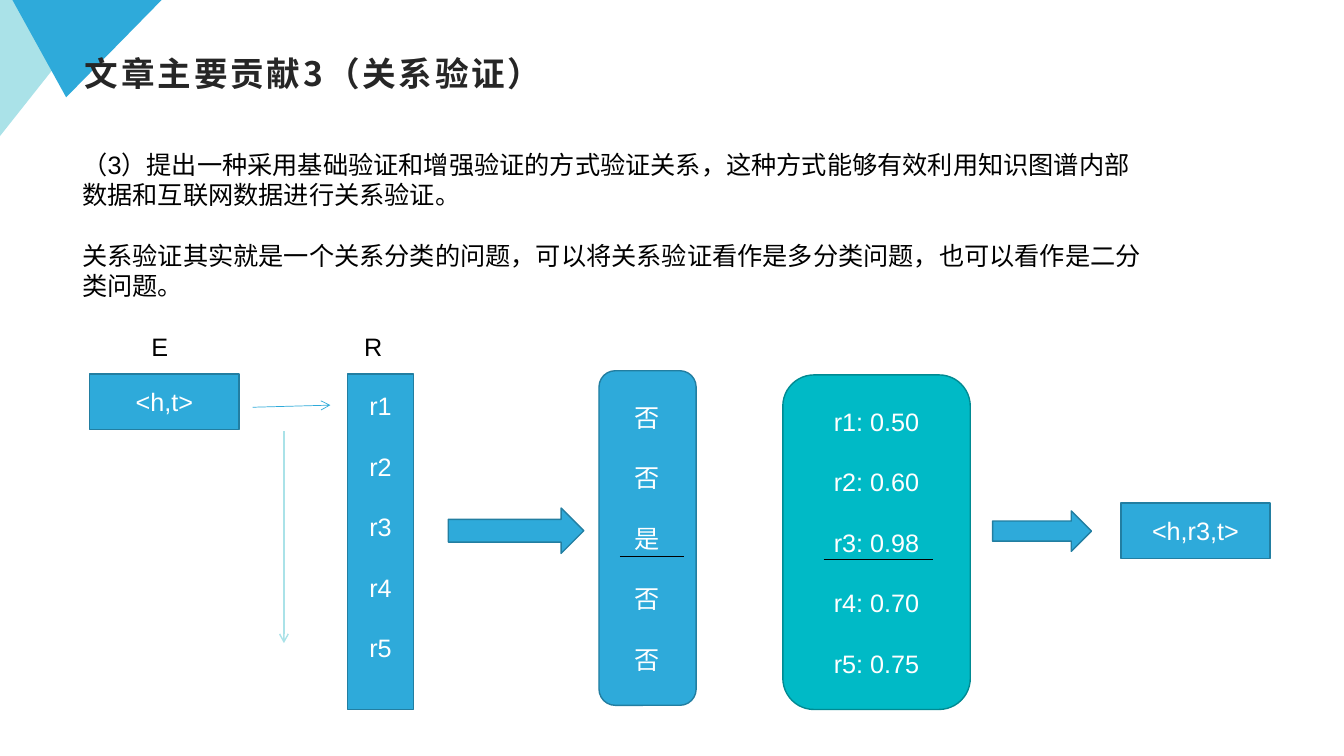
from lxml import etree
from pptx import Presentation
from pptx.dml.color import RGBColor
from pptx.enum import shapes, text
from pptx.oxml.ns import qn
from pptx.util import Pt

COLOURS = {
    "blue": "2EAADA", "blue edge": "227EA1", "teal": "00BAC6",
    "teal edge": "008A92", "pale": "AAE2E8", "title": "262626",
    "black": "000000", "white": "FFFFFF",
}
SHAPE = shapes.MSO_SHAPE
CENTRE, LEFT = text.PP_ALIGN.CENTER, text.PP_ALIGN.LEFT
TOP, MIDDLE = text.MSO_ANCHOR.TOP, text.MSO_ANCHOR.MIDDLE
LINE = 21.6


class RelationPage:
    """Draws styled elements on one slide, with lengths in points."""

    def __init__(self, page):
        self.page = page

    def colour(self, name):
        return RGBColor.from_string(COLOURS[name])

    def style(self, para, size, colour, latin="Arial"):
        font = para.font
        font.size, font.name = Pt(size), latin
        font.color.rgb = self.colour(colour)
        east_asian = etree.SubElement(font._element, qn("a:ea"))
        east_asian.set("typeface", "Noto Sans CJK SC")
        return font

    def fill_text(self, box, lines, colour, align, anchor):
        frame = box.text_frame
        frame.word_wrap, frame.vertical_anchor = True, anchor
        frame.text = "\n".join(lines)
        for index, para in enumerate(frame.paragraphs):
            para.alignment = align
            para.line_spacing = Pt(LINE)
            para.space_before = Pt(LINE if index else 0)
            self.style(para, 18, colour)

    def title(self, words, *place):
        box = self.page.shapes.title
        box.left, box.top, box.width, box.height = map(Pt, place)
        frame = box.text_frame
        frame.text = words
        frame.auto_size = text.MSO_AUTO_SIZE.NONE
        frame.vertical_anchor = MIDDLE
        frame.margin_left, frame.margin_right = Pt(8), Pt(6)
        frame.margin_top = frame.margin_bottom = Pt(3)
        para = frame.paragraphs[0]
        para.alignment = LEFT
        font = self.style(para, 24, "title", "Noto Sans CJK SC")
        font.bold = True
        font._element.set("spc", "200")
        self.page.shapes._spTree.append(box._element)

    def text(self, lines, *place):
        box = self.page.shapes.add_textbox(*map(Pt, place))
        self.fill_text(box, lines, "black", LEFT, TOP)

    def shape(self, kind, place, fill="blue", edge="blue edge", lines=()):
        box = self.page.shapes.add_shape(kind, *map(Pt, place))
        box.shadow.inherit = False
        box.fill.solid()
        box.fill.fore_color.rgb = self.colour(fill)
        if edge:
            box.line.color.rgb = self.colour(edge)
            box.line.width = Pt(1)
        else:
            box.line.fill.background()
        if lines:
            self.fill_text(box, lines, "white", CENTRE, MIDDLE)
        return box

    def line(self, place, colour, width=0.5, arrow=False):
        link = self.page.shapes.add_connector(
            shapes.MSO_CONNECTOR.STRAIGHT, *map(Pt, place))
        link.line.color.rgb = self.colour(colour)
        link.line.width = Pt(width)
        if arrow:
            outline = link._element.spPr.find(qn("a:ln"))
            etree.SubElement(outline, qn("a:tailEnd")).set("type", "arrow")
        etree.SubElement(link._element.spPr, qn("a:effectLst"))


def main():
    deck = Presentation()
    deck.slide_width, deck.slide_height = Pt(960), Pt(540)
    page = RelationPage(deck.slides.add_slide(deck.slide_layouts[5]))

    corner = page.shape(SHAPE.RIGHT_TRIANGLE, (0, 0, 77, 97.2), "pale", None)
    corner.rotation = 180
    corner._element.spPr.xfrm.set("flipH", "1")
    wedge = page.shape(SHAPE.ISOSCELES_TRIANGLE, (8.6, -0.5, 107.3, 70), "blue", None)
    wedge.rotation = 180
    wedge.adjustments[0] = 0.64

    page.title("文章主要贡献3（关系验证）", 52.6, 34.6, 854.6, 34.6)
    page.text([
        "（3）提出一种采用基础验证和增强验证的方式验证关系，这种方式能够有效利用知识图谱内部数据和互联网数据进行关系验证。",
        "关系验证其实就是一个关系分类的问题，可以将关系验证看作是多分类问题，也可以看作是二分类问题。",
    ], 51.8, 103, 775.4, 115.2)
    for label, left in (("E", 101), ("R", 253)):
        page.text([label], left, 233, 30, 28.8)

    scores = {"r1": "0.50", "r2": "0.60", "r3": "0.98", "r4": "0.70", "r5": "0.75"}
    verdicts = ["是" if name == "r3" else "否" for name in scores]
    page.shape(SHAPE.RECTANGLE, (64.1, 267.1, 106.6, 39.6), lines=["<h,t>"])
    relations = page.shape(SHAPE.RECTANGLE, (248.4, 267.1, 46.8, 239.8), lines=list(scores))
    relations.text_frame.margin_bottom = Pt(3.6 + LINE)
    page.line((180.4, 290.9, 236, 289.4), "blue", arrow=True)
    page.line((202.8, 308.2, 202.8, 459.4), "pale", 1, arrow=True)

    page.shape(SHAPE.RIGHT_ARROW, (320.2, 362.9, 96.8, 32.4))
    page.shape(SHAPE.ROUNDED_RECTANGLE, (427.9, 264.8, 69.4, 239), lines=verdicts)
    page.shape(SHAPE.ROUNDED_RECTANGLE, (559.2, 267.8, 133.9, 239), "teal", "teal edge",
               [f"{name}: {score}" for name, score in scores.items()])
    page.line((442.8, 397.4, 488.9, 397.4), "black")
    page.line((588.4, 399.6, 666.2, 399.6), "black")

    page.shape(SHAPE.RIGHT_ARROW, (709, 365, 70.6, 28.8))
    page.shape(SHAPE.RECTANGLE, (800.6, 359.3, 106.6, 39.6), lines=["<h,r3,t>"])
    deck.save("out.pptx")


if __name__ == "__main__":
    main()
